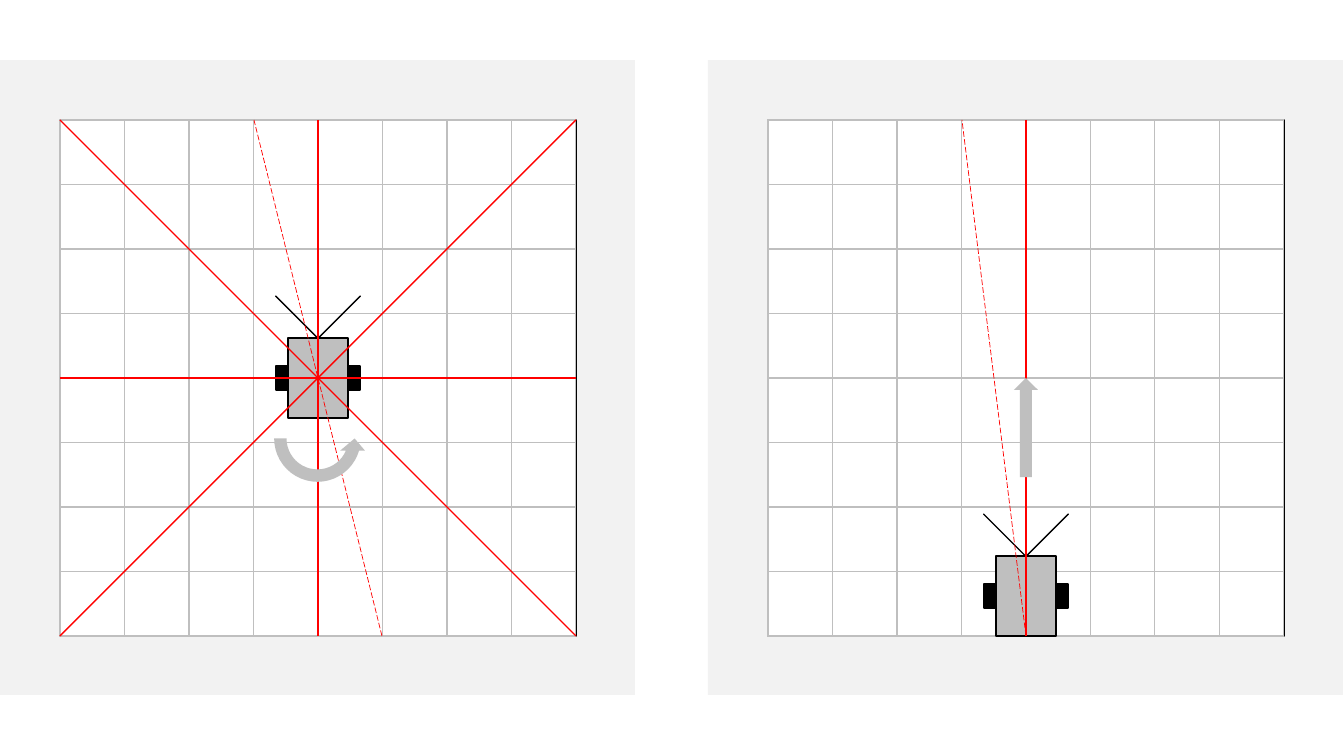
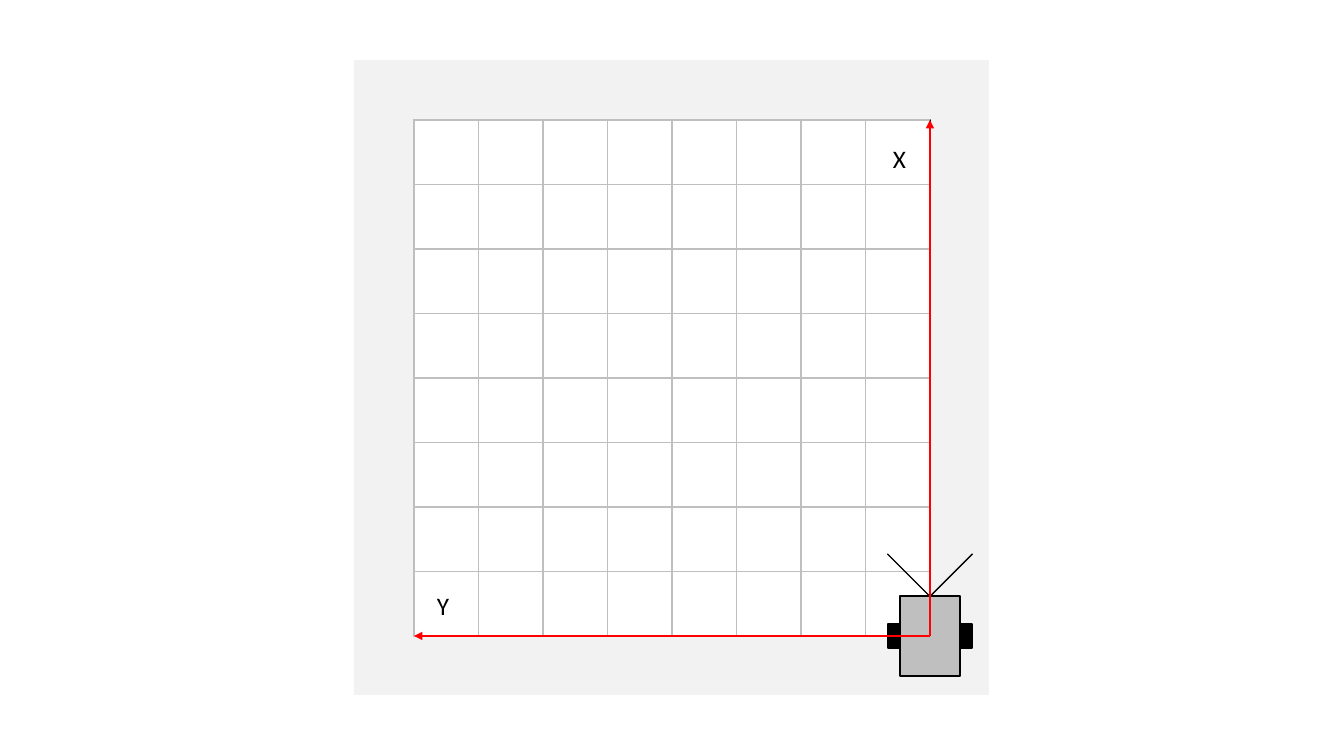
import lxml.etree
import pptx
import pptx.dml.color
import pptx.enum.dml
import pptx.enum.shapes
import pptx.enum.text
import pptx.oxml.ns
import pptx.util

EMU_PER_PIXEL = 914400 / 100.8
COLORS = {
    "panel": "F2F2F2",
    "field": "FFFFFF",
    "grid": "BFBFBF",
    "robot": "BFBFBF",
    "antenna": "4472C4",
    "ink": "000000",
    "path": "FF0000",
}
PANEL_TOP, PANEL_SIDE, MARGIN = 60, 635, 60
FIELD_SIDE, CELLS = 516, 8
FIELD_TOP = PANEL_TOP + MARGIN
FIELD_BOTTOM = FIELD_TOP + FIELD_SIDE
FIELD_MIDDLE = FIELD_TOP + FIELD_SIDE // 2
BODY_WIDTH, BODY_HEIGHT = 60, 80
WHEEL_WIDTH, WHEEL_HEIGHT = 12, 24
ANTENNA_SIDE, ANTENNA_RISE = 60, 42
PRESET = pptx.enum.shapes.MSO_SHAPE


def emu(pixels):
    """Turn pixels into EMU."""
    return pptx.util.Emu(round(pixels * EMU_PER_PIXEL))


def rgb(name):
    """Look up a named colour."""
    return pptx.dml.color.RGBColor.from_string(COLORS[name])


def add_xml(parent, tag, **attributes):
    """Append a DrawingML element and return it."""
    return lxml.etree.SubElement(parent, pptx.oxml.ns.qn(tag), **attributes)


class Sketch:
    """Shared style and the slide being drawn."""

    def __init__(self):
        """Start a wide presentation."""
        self.deck = pptx.Presentation()
        self.deck.slide_width = emu(1344)
        self.deck.slide_height = emu(756)
        self.slide = None

    def new_slide(self):
        """Move on to a new blank slide."""
        self.slide = self.deck.slides.add_slide(self.deck.slide_layouts[6])

    def shape(self, preset, left, top, width, height, fill, outline=None, group=None):
        """Draw a preset shape on the slide or in a group."""
        owner = group or self.slide
        shape = owner.shapes.add_shape(
            preset, emu(left), emu(top), emu(width), emu(height))
        shape.shadow.inherit = False
        shape.fill.solid()
        shape.fill.fore_color.rgb = rgb(fill)
        if outline:
            shape.line.color.rgb = rgb(outline)
            shape.line.width = pptx.util.Pt(1)
        else:
            shape.line.fill.background()
        return shape

    def line(self, start, end, width=1, dashed=False, arrow=False):
        """Draw a red line between two points."""
        line = self.slide.shapes.add_connector(
            pptx.enum.shapes.MSO_CONNECTOR.STRAIGHT, *map(emu, start + end))
        line.line.color.rgb = rgb("path")
        line.line.width = pptx.util.Pt(width)
        if dashed:
            line.line.dash_style = pptx.enum.dml.MSO_LINE.LONG_DASH
        if arrow:
            add_xml(line.get_or_add_ln(), "a:tailEnd", type="triangle")
        add_xml(line.element.spPr, "a:effectLst")

    def grid(self, left):
        """Draw the square grid as a table with thin borders."""
        table = self.slide.shapes.add_table(
            CELLS, CELLS, emu(left), emu(FIELD_TOP),
            emu(FIELD_SIDE), emu(FIELD_SIDE)).table
        table.first_row = False
        table.horz_banding = False
        for cell in table.iter_cells():
            properties = cell._tc.get_or_add_tcPr()
            for edge in ("a:lnL", "a:lnR", "a:lnT", "a:lnB"):
                border = add_xml(properties, edge, w="12700")
                paint = add_xml(border, "a:solidFill")
                add_xml(paint, "a:srgbClr", val=COLORS["grid"])
            cell.fill.background()

    def field(self, panel_left):
        """Draw a panel with its grid and return the grid's left edge."""
        left = panel_left + MARGIN
        self.shape(PRESET.RECTANGLE, panel_left, PANEL_TOP,
                   PANEL_SIDE, PANEL_SIDE, "panel")
        self.shape(PRESET.RECTANGLE, left, FIELD_TOP,
                   FIELD_SIDE, FIELD_SIDE, "field", "ink")
        self.grid(left)
        return left

    def robot(self, x, y):
        """Draw a robot centred on a point: body, antenna and wheels."""
        group = self.slide.shapes.add_group_shape()
        left, top = x - BODY_WIDTH // 2, y - BODY_HEIGHT // 2
        self.shape(PRESET.RECTANGLE, left, top, BODY_WIDTH, BODY_HEIGHT,
                   "robot", "ink", group)
        antenna = self.shape(
            PRESET.CORNER, x - ANTENNA_SIDE // 2,
            top - ANTENNA_RISE - ANTENNA_SIDE // 2,
            ANTENNA_SIDE, ANTENNA_SIDE, "antenna", "ink", group)
        for arm in range(len(antenna.adjustments)):
            antenna.adjustments[arm] = 0
        antenna.rotation = 315
        for wheel_left in (left - WHEEL_WIDTH, left + BODY_WIDTH):
            self.shape(PRESET.RECTANGLE, wheel_left, y - WHEEL_HEIGHT // 2,
                       WHEEL_WIDTH, WHEEL_HEIGHT, "ink", "ink", group)

    def label(self, text, left, top, width, height):
        """Write an axis name."""
        frame = self.slide.shapes.add_textbox(
            emu(left), emu(top), emu(width), emu(height)).text_frame
        frame.word_wrap = False
        frame.auto_size = pptx.enum.text.MSO_AUTO_SIZE.SHAPE_TO_FIT_TEXT
        name = frame.paragraphs[0]
        name.text = text
        name.font.name = "Calibri"
        name.font.size = pptx.util.Pt(18)
        name.font.color.rgb = rgb("ink")


def draw_turning(sketch):
    """Show the robot turning in the middle of the field."""
    left = sketch.field(0)
    right, x = left + FIELD_SIDE, left + FIELD_SIDE // 2
    drift = FIELD_SIDE // CELLS
    sketch.robot(x, FIELD_MIDDLE)
    sketch.line((x + drift, FIELD_BOTTOM), (x - drift, FIELD_TOP), 0.5, dashed=True)
    sketch.line((x, FIELD_TOP), (x, FIELD_BOTTOM))
    sketch.line((right, FIELD_MIDDLE), (left, FIELD_MIDDLE))
    sketch.line((left, FIELD_TOP), (right, FIELD_BOTTOM))
    sketch.line((right, FIELD_TOP), (left, FIELD_BOTTOM))
    turn = sketch.shape(PRESET.CIRCULAR_ARROW, x - 50, 389, 99, 99, "robot")
    turn.element.spPr.get_or_add_xfrm().set("flipV", "1")


def draw_driving(sketch):
    """Show the robot driving forward from the lower edge."""
    left = sketch.field(708)
    x = left + FIELD_SIDE // 2
    start = (x, FIELD_BOTTOM)
    sketch.robot(x, FIELD_BOTTOM - BODY_HEIGHT // 2)
    sketch.line(start, (x - FIELD_SIDE // CELLS, FIELD_TOP), 0.5, dashed=True)
    sketch.line((x, FIELD_TOP), start)
    sketch.shape(PRESET.UP_ARROW, x - 12, FIELD_MIDDLE, 24, 99, "robot")


def draw_axes(sketch):
    """Show the axes that start at the robot."""
    left = sketch.field(354)
    right = left + FIELD_SIDE
    origin = (right, FIELD_BOTTOM)
    sketch.robot(*origin)
    for tip in ((right, FIELD_TOP), (left, FIELD_BOTTOM)):
        sketch.line(origin, tip, 1.5, arrow=True)
    sketch.label("X", 883, 138, 33, 41)
    sketch.label("Y", 427, 585, 32, 41)


def main():
    """Build both slides and save them."""
    sketch = Sketch()
    sketch.new_slide()
    draw_turning(sketch)
    draw_driving(sketch)
    sketch.new_slide()
    draw_axes(sketch)
    sketch.deck.save("out.pptx")


main()
